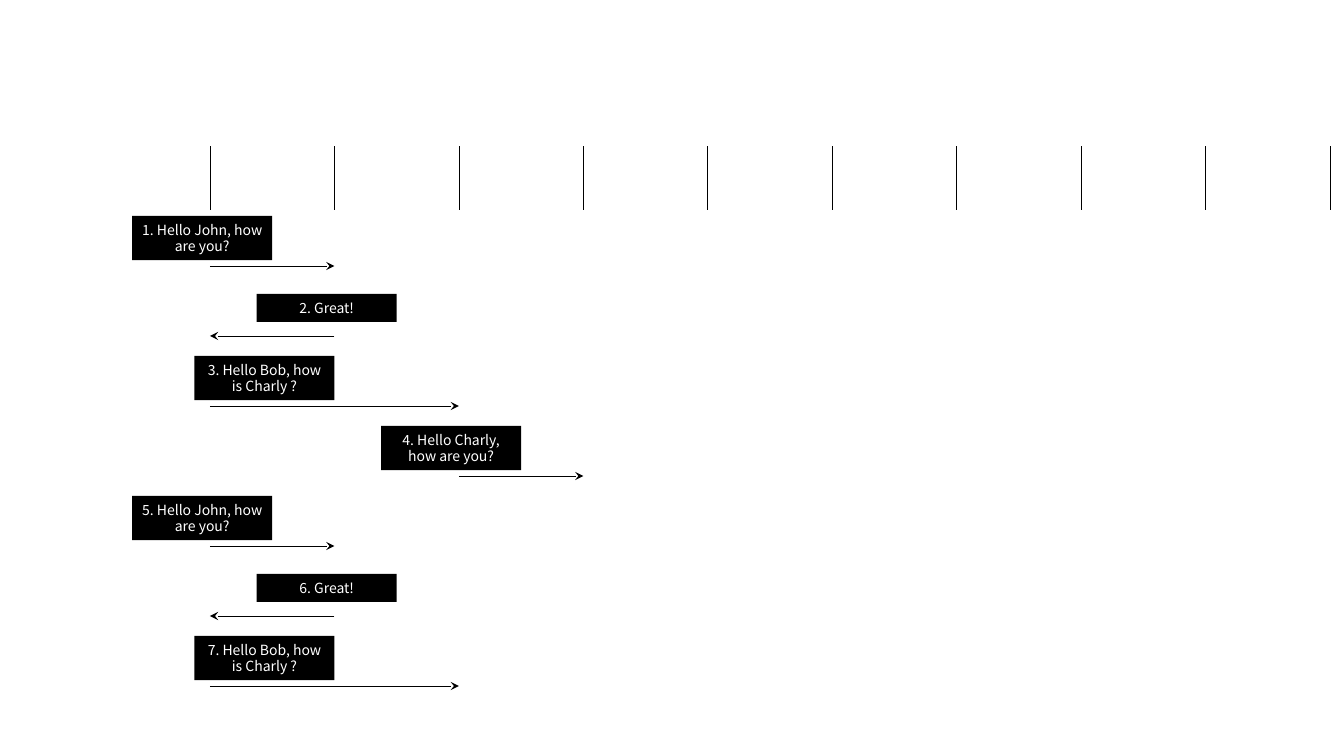
from dataclasses import dataclass

from pptx import Presentation
from pptx.dml.color import RGBColor
from pptx.enum.shapes import MSO_CONNECTOR as Connector, MSO_SHAPE as Shape
from pptx.enum.text import MSO_ANCHOR as Anchor, MSO_AUTO_SIZE as AutoSize, PP_ALIGN as Align
from pptx.oxml.ns import qn
from pptx.util import Pt
from lxml.etree import SubElement

MESSAGES = [
    (0, 1, "1. Hello John, how are you?", 2),
    (1, 0, "2. Great!", 1),
    (0, 2, "3. Hello Bob, how is Charly ?", 2),
    (2, 3, "4. Hello Charly, how are you?", 2),
    (0, 1, "5. Hello John, how are you?", 2),
    (1, 0, "6. Great!", 1),
    (0, 2, "7. Hello Bob, how is Charly ?", 2),
]
LIFELINE_COUNT = 10


@dataclass(frozen=True)
class Theme:
    ink: RGBColor = RGBColor(0, 0, 0)
    label_text: RGBColor = RGBColor(255, 255, 255)
    font: str = "Noto Sans CJK KR"
    label_size: float = 10
    line_width: float = 0.5


THEME = Theme()
SLIDE_WIDTH, SLIDE_HEIGHT = 960, 540
FIRST_LIFELINE, LIFELINE_STEP = 150, 88.9
LIFELINE_TOP, LIFELINE_BOTTOM = 104, 150
FIRST_ARROW, ARROW_STEP = 190, 50
LABEL_WIDTH, LABEL_RISE = 100, 20
LABEL_HEIGHTS = {1: 20, 2: 31.7}


def lifeline_x(index):
    return FIRST_LIFELINE + index * LIFELINE_STEP


def add_line(slide, x1, y1, x2, y2, arrow=False):
    connector = slide.shapes.add_connector(
        Connector.STRAIGHT, Pt(x1), Pt(y1), Pt(x2), Pt(y2))
    connector.line.color.rgb = THEME.ink
    connector.line.width = Pt(THEME.line_width)
    if arrow:
        SubElement(connector.line._get_or_add_ln(), qn("a:tailEnd"), type="stealth")
    SubElement(connector._element.spPr, qn("a:effectLst"))


def add_label(slide, left, middle, text, line_count):
    height = LABEL_HEIGHTS[line_count]
    shape = slide.shapes.add_shape(
        Shape.RECTANGLE, Pt(left), Pt(middle - height / 2), Pt(LABEL_WIDTH), Pt(height))
    shape.shadow.inherit = False
    shape.fill.solid()
    shape.fill.fore_color.rgb = THEME.ink
    shape.line.fill.background()
    frame = shape.text_frame
    frame.word_wrap = True
    frame.auto_size = AutoSize.SHAPE_TO_FIT_TEXT
    frame.vertical_anchor = Anchor.MIDDLE
    paragraph = frame.paragraphs[0]
    paragraph.alignment = Align.CENTER
    run = paragraph.add_run()
    run.text = text
    run.font.name = THEME.font
    run.font.size = Pt(THEME.label_size)
    run.font.color.rgb = THEME.label_text


def main():
    presentation = Presentation()
    presentation.slide_width = Pt(SLIDE_WIDTH)
    presentation.slide_height = Pt(SLIDE_HEIGHT)
    slide = presentation.slides.add_slide(presentation.slide_layouts[6])

    for index in range(LIFELINE_COUNT):
        x = lifeline_x(index)
        add_line(slide, x, LIFELINE_BOTTOM, x, LIFELINE_TOP)

    for row, (sender, receiver, text, line_count) in enumerate(MESSAGES):
        start, end = lifeline_x(sender), lifeline_x(receiver)
        y = FIRST_ARROW + row * ARROW_STEP
        label_left = start + abs(end - start) / 2 - LABEL_WIDTH
        add_label(slide, label_left, y - LABEL_RISE, text, line_count)
        add_line(slide, start, y, end, y, arrow=True)

    presentation.save("out.pptx")


if __name__ == "__main__":
    main()
